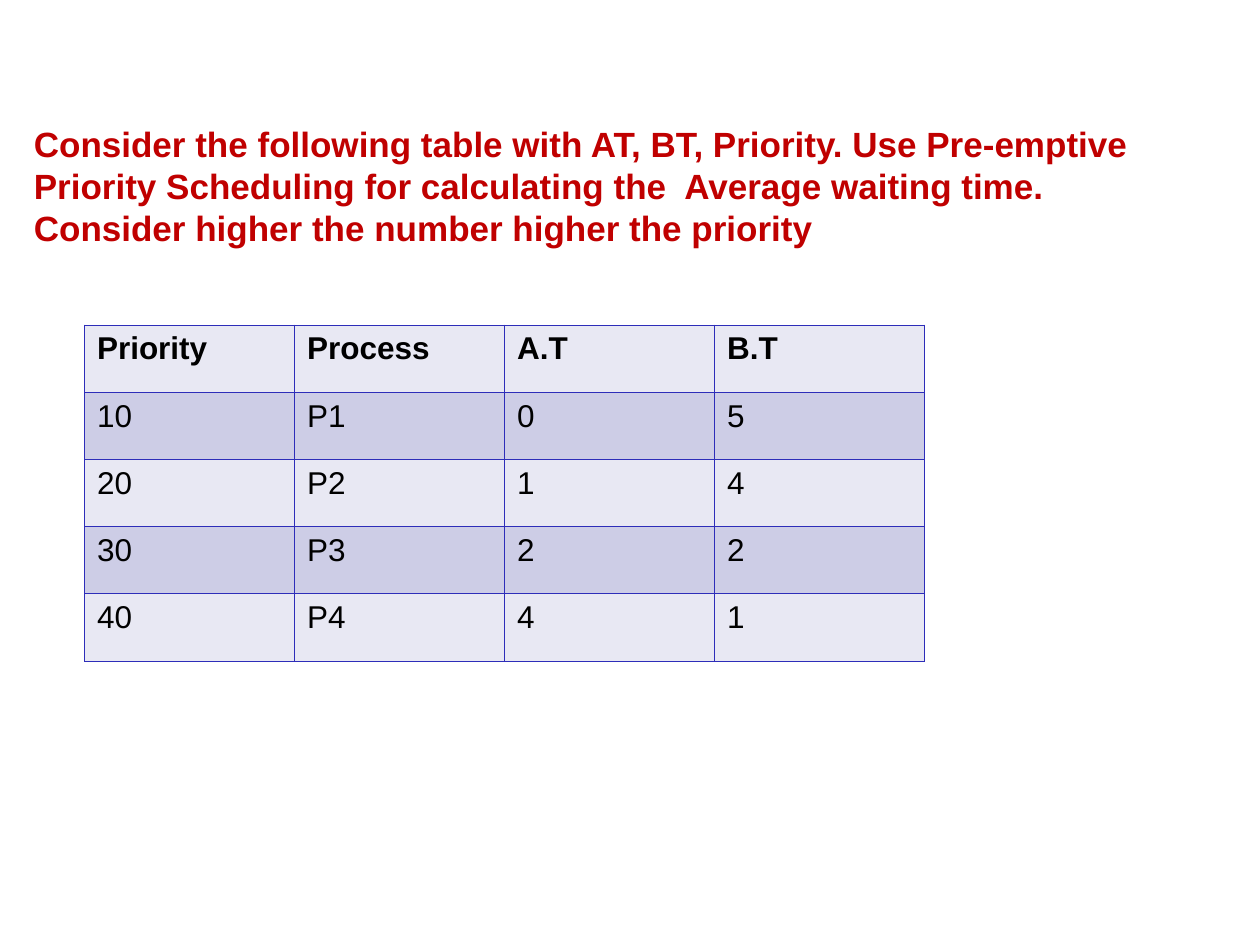
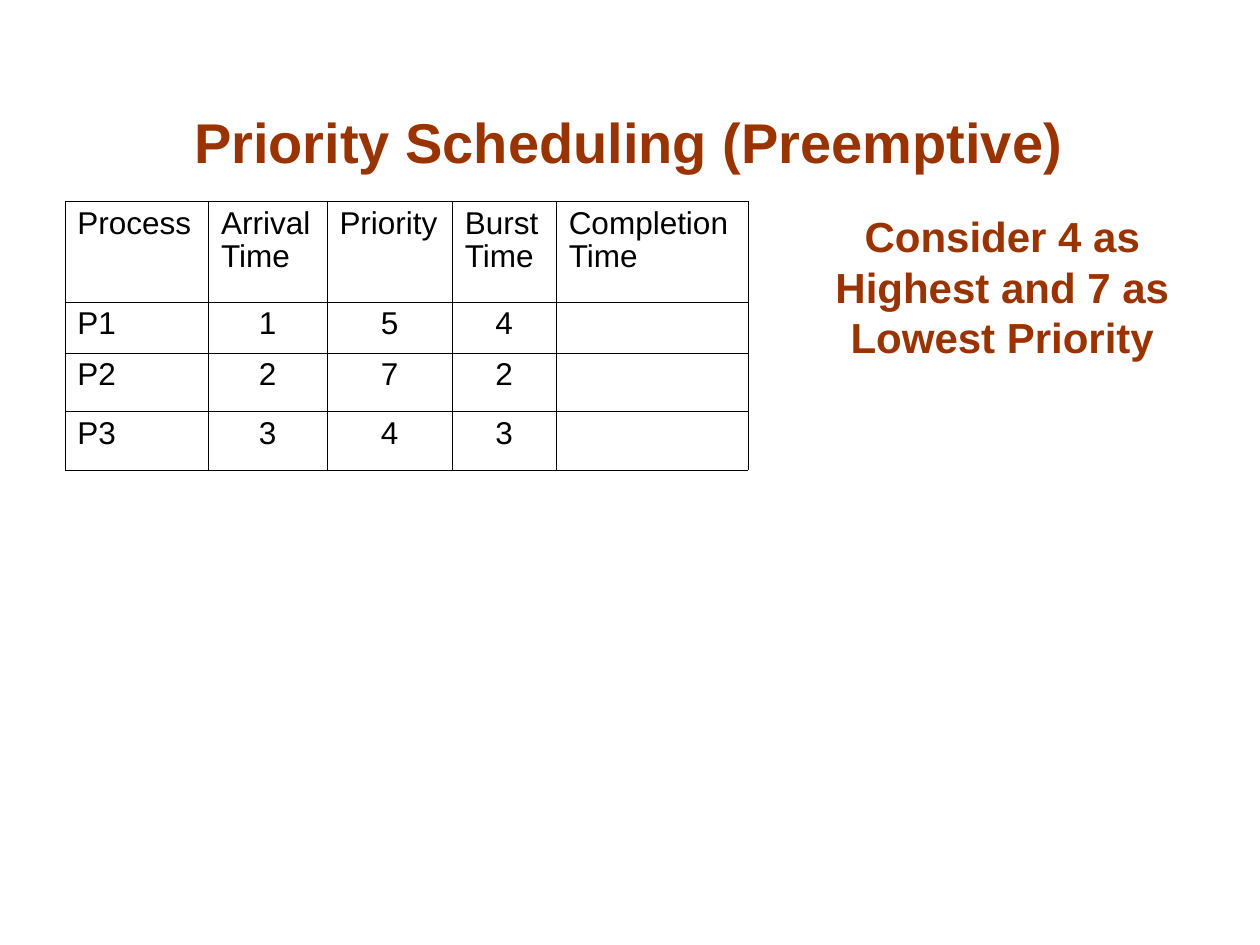
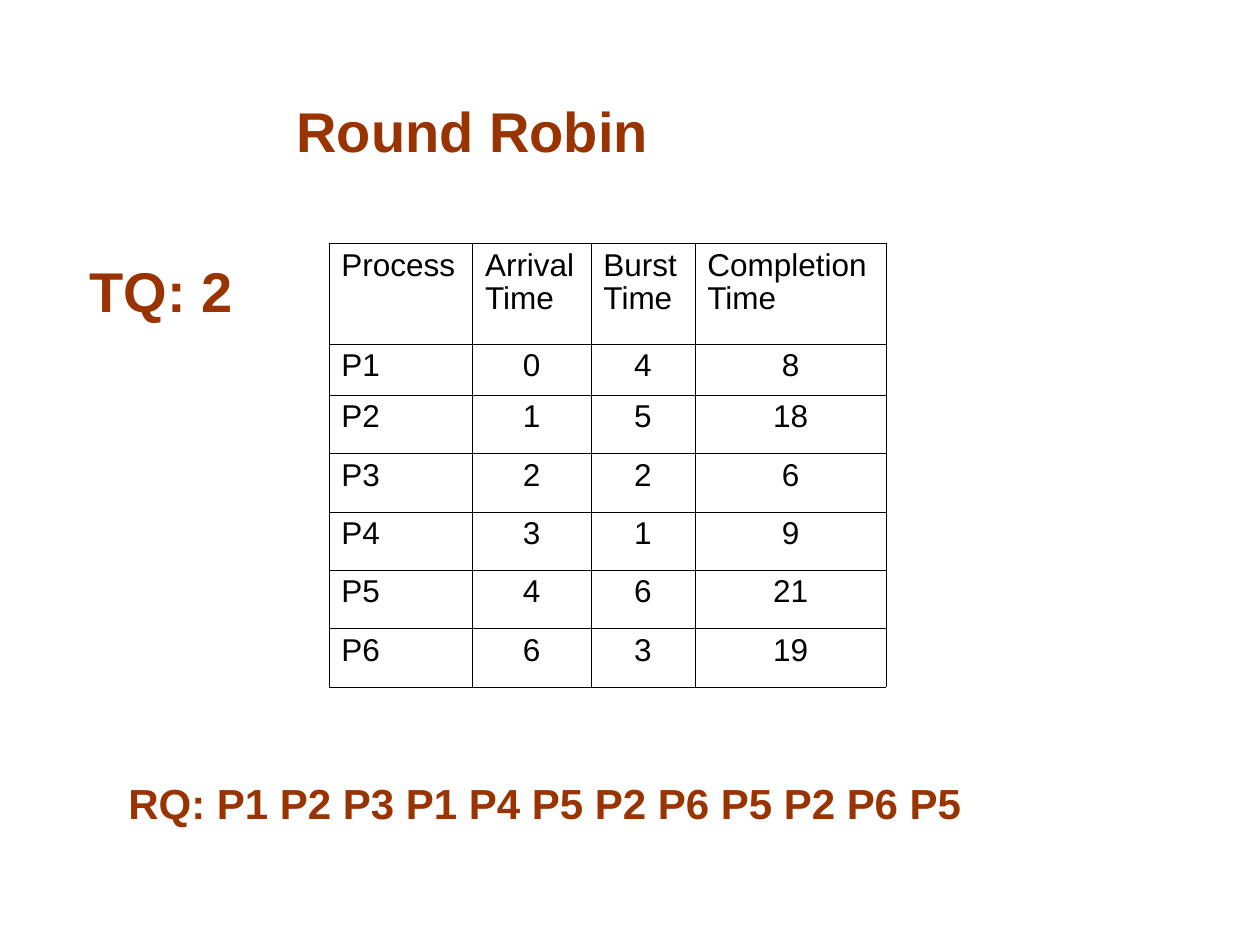
from lxml.etree import SubElement
from pptx import Presentation
from pptx.dml.color import RGBColor
from pptx.enum.text import MSO_ANCHOR as Anchor, PP_ALIGN as Align
from pptx.oxml.ns import qn
from pptx.util import Inches, Pt

BLACK = RGBColor(0x00, 0x00, 0x00)
RED = RGBColor(0xC0, 0x00, 0x00)
RUST = RGBColor(0x99, 0x33, 0x00)
BLUE = RGBColor(0x2D, 0x2D, 0xB9)
PALE_BAND = RGBColor(0xE8, 0xE8, 0xF3)
DARK_BAND = RGBColor(0xCD, 0xCD, 0xE6)
FONT = "Arial"

deck = Presentation()
deck.slide_width = Inches(10)
deck.slide_height = Inches(7.5)
COLUMN = deck.slide_width / 100
ROW = deck.slide_height / 100


def add_text(page, area, lines, size, color=RUST, align=Align.CENTER, anchor=Anchor.BOTTOM):
    left, top, width, height = area
    box = page.shapes.add_textbox(
        int(left * COLUMN), int(top * ROW), int(width * COLUMN), int(height * ROW))
    frame = box.text_frame
    frame.word_wrap = True
    frame.vertical_anchor = anchor
    for index, line in enumerate(lines):
        para = frame.paragraphs[0] if index == 0 else frame.add_paragraph()
        para.alignment = align
        span = para.add_run()
        span.text = line
        for name, value in {"name": FONT, "size": Pt(size), "bold": True}.items():
            setattr(span.font, name, value)
        span.font.color.rgb = color


def add_grid(page, corner, widths, heights, records, line_color, line_width,
             bands=(), bold_header=False, centered=False, spacing=1.0):
    left, top = corner
    table = page.shapes.add_table(
        len(heights), len(widths), int(left * COLUMN), int(top * ROW),
        int(sum(widths) * COLUMN), int(sum(heights) * ROW)).table
    table.first_row = False
    table.horz_banding = False
    for column, width in zip(table.columns, widths):
        column.width = int(width * COLUMN)
    for row, height in zip(table.rows, heights):
        row.height = int(height * ROW)
    for r, record in enumerate(records):
        for c, text in enumerate(record):
            cell = table.cell(r, c)
            for side in ("a:lnL", "a:lnR", "a:lnT", "a:lnB"):
                line = SubElement(cell._tc.get_or_add_tcPr(), qn(side), w=str(Pt(line_width)))
                paint = SubElement(line, qn("a:solidFill"))
                SubElement(paint, qn("a:srgbClr"), val=str(line_color))
            if bands:
                cell.fill.solid()
                cell.fill.fore_color.rgb = bands[r % len(bands)]
            else:
                cell.fill.background()
            cell.text = text
            para = cell.text_frame.paragraphs[0]
            para.alignment = Align.CENTER if centered and r and c else Align.LEFT
            para.line_spacing = spacing
            header = bold_header and r == 0
            for name, value in {"name": FONT, "size": Pt(18), "bold": header}.items():
                setattr(para.font, name, value)
            para.font.color.rgb = BLACK


blank = deck.slide_layouts[6]
question_page, priority_page, robin_page = [deck.slides.add_slide(blank) for _ in range(3)]

PLAIN_GRID = {"line_color": BLACK, "line_width": 0.11, "centered": True, "spacing": 0.94}
PROCESS, ARRIVAL, PRIORITY, BURST, COMPLETION = 11.4, 9.4, 9.95, 8.25, 15.2
HEADER_ROW, FIRST_ROW, BODY_ROW = 10.65, 5.4, 6.18
TITLE_HEIGHT = 9.45

add_text(question_page, (1.7, 12.27, 89.2, 19.2), [
    "Consider the following table with AT, BT, Priority. Use Pre-emptive Priority Scheduling "
    "for calculating the  Average waiting time.",
    "Consider higher the number higher the priority",
], 20, RED, Align.LEFT, Anchor.TOP)
add_grid(question_page, (6.7, 34.4), [16.67] * 4, [7.11] * 5, [
    ("Priority", "Process", "A.T", "B.T"),
    ("10", "P1", "0", "5"),
    ("20", "P2", "1", "4"),
    ("30", "P3", "2", "2"),
    ("40", "P4", "4", "1"),
], BLUE, 0.45, bands=(PALE_BAND, DARK_BAND), bold_header=True)

add_text(priority_page, (7.4, 9.75, 85, TITLE_HEIGHT), ["Priority Scheduling (Preemptive)"], 32)
add_grid(priority_page, (5.15, 21.3), [PROCESS, ARRIVAL, PRIORITY, BURST, COMPLETION],
         [HEADER_ROW, FIRST_ROW] + [BODY_ROW] * 2, [
    ("Process", "Arrival Time", "Priority", "Burst Time", "Completion Time"),
    ("P1", "1", "5", "4", ""),
    ("P2", "2", "7", "2", ""),
    ("P3", "3", "4", "3", ""),
], **PLAIN_GRID)
add_text(priority_page, (61.7, 21.2, 35.7, 17.75),
         ["Consider 4 as Highest and 7 as Lowest Priority"], 24)

add_text(robin_page, (0, 8.5, 75, TITLE_HEIGHT), ["Round Robin"], 32)
add_grid(robin_page, (26.1, 25.75), [PROCESS, ARRIVAL, BURST, COMPLETION],
         [HEADER_ROW, FIRST_ROW] + [BODY_ROW] * 5, [
    ("Process", "Arrival Time", "Burst Time", "Completion Time"),
    ("P1", "0", "4", "8"),
    ("P2", "1", "5", "18"),
    ("P3", "2", "2", "6"),
    ("P4", "3", "1", "9"),
    ("P5", "4", "6", "21"),
    ("P6", "6", "3", "19"),
], **PLAIN_GRID)
add_text(robin_page, (2.9, 25.5, 21, TITLE_HEIGHT), ["TQ: 2 "], 32)
add_text(robin_page, (9.2, 78.8, 75, TITLE_HEIGHT),
         ["RQ: P1 P2 P3 P1 P4 P5 P2 P6 P5 P2 P6 P5"], 24, align=Align.LEFT)

deck.save("out.pptx")
